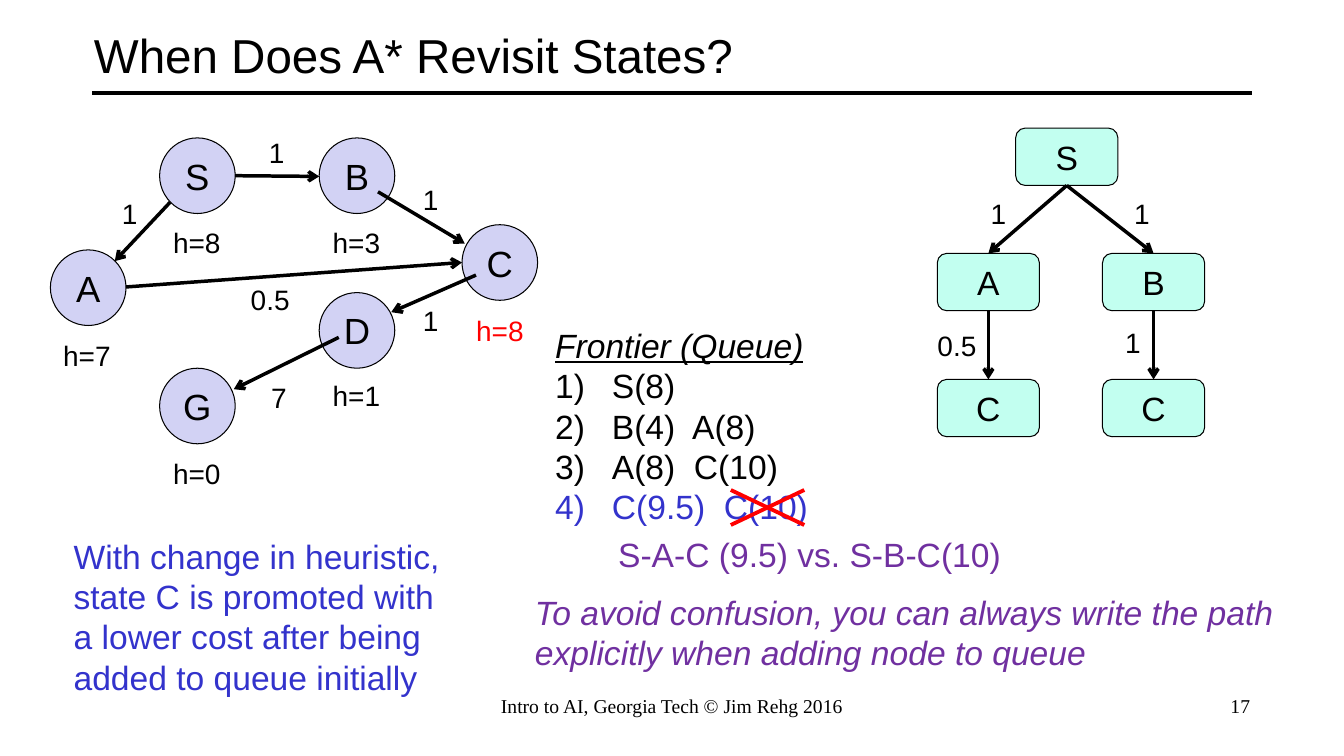
from pptx import Presentation
from pptx.dml.color import RGBColor
from pptx.enum.shapes import MSO_CONNECTOR as CONN, MSO_SHAPE as SHAPE
from pptx.enum.text import MSO_ANCHOR as ANCHOR, PP_ALIGN as ALIGN
from pptx.oxml.ns import qn
from pptx.util import Pt
from lxml.etree import SubElement

COLORS = {"black": "000000", "red": "FF0000", "blue": "3333CC",
          "purple": "7030A0", "lavender": "D2D2F4", "mint": "C2FFF0"}

prs = Presentation()
prs.slide_width, prs.slide_height = Pt(960), Pt(540)
s = prs.slides.add_slide(prs.slide_layouts[6])


def write(text, box=None, sp=None, size=24, color="black", font="Arial", align=ALIGN.LEFT,
          anchor=ANCHOR.TOP, italic=False, underline=False, wrap=False, numbered=False):
    if sp is None:
        sp = s.shapes.add_textbox(*map(Pt, box))
    tf = sp.text_frame
    tf.word_wrap, tf.vertical_anchor = wrap, anchor
    p = tf.add_paragraph() if tf.text else tf.paragraphs[0]
    p.text, p.alignment = text, align
    if numbered:
        pPr = p._p.get_or_add_pPr()
        pPr.set("marL", str(Pt(40.5)))
        pPr.set("indent", str(-Pt(40.5)))
        SubElement(pPr, qn("a:buFont")).set("typeface", "+mj-lt")
        SubElement(pPr, qn("a:buAutoNum")).set("type", "arabicParenR")
    for r in p.runs:
        r.font.name, r.font.size = font, Pt(size)
        r.font.italic, r.font.underline = italic, underline
        r.font.color.rgb = RGBColor.from_string(COLORS[color])
    return sp


def connect(x1, y1, x2, y2, color="black", width=2.5, arrow=True):
    c = s.shapes.add_connector(CONN.STRAIGHT, Pt(x1), Pt(y1), Pt(x2), Pt(y2))
    c.line.color.rgb = RGBColor.from_string(COLORS[color])
    c.line.width = Pt(width)
    spPr = c._element.spPr
    if arrow:
        SubElement(spPr.find(qn("a:ln")), qn("a:tailEnd")).set("type", "arrow")
    SubElement(spPr, qn("a:effectLst"))
    return c


connect(66, 66.5, 894, 66.5, width=3, arrow=False)
write("When Does A* Revisit States?", (60, 6, 840, 66), size=34, anchor=ANCHOR.MIDDLE, wrap=True)
write("Intro to AI, Georgia Tech © Jim Rehg 2016", (328, 492, 304, 36),
      size=14, font="Times New Roman", align=ALIGN.CENTER, wrap=True)
write("17", (688, 492, 212, 36), size=14, font="Times New Roman", align=ALIGN.RIGHT, wrap=True)

graph_nodes = [("S", 114, 98.5), ("B", 228, 98.5), ("C", 330, 160.5),
               ("A", 36, 178.5), ("D", 228, 209), ("G", 114, 263)]
tree_nodes = [("S", 725.5, 91.5), ("A", 669.5, 181), ("B", 787.5, 181),
              ("C", 669.5, 271), ("C", 787.5, 271)]
tree = []
for nodes, kind, w, h, fill, size in [(graph_nodes, SHAPE.OVAL, 54, 54, "lavender", 26),
                                      (tree_nodes, SHAPE.ROUNDED_RECTANGLE, 73, 41, "mint", 24)]:
    for name, x, y in nodes:
        sp = s.shapes.add_shape(kind, Pt(x), Pt(y), Pt(w), Pt(h))
        sp.shadow.inherit = False
        sp.fill.solid()
        sp.fill.fore_color.rgb = RGBColor.from_string(COLORS[fill])
        sp.line.color.rgb = RGBColor.from_string(COLORS["black"])
        sp.line.width = Pt(0.75)
        write(name, sp=sp, size=size, align=ALIGN.CENTER, anchor=ANCHOR.MIDDLE)
        if kind == SHAPE.ROUNDED_RECTANGLE:
            tree.append(sp)

for edge in [(121.5, 144.5, 82, 186.5), (168, 125.5, 228, 126), (270, 137, 332, 174),
             (340, 196.5, 279.5, 223), (242, 241, 167, 278), (90, 205, 330, 187.5)]:
    connect(*edge)

for parent, child in [(0, 1), (0, 2), (1, 3), (2, 4)]:
    c = connect(0, 0, 0, 0)
    c.begin_connect(tree[parent], 2)
    c.end_connect(tree[child], 0)

for text, x, y in [("1", 80, 137), ("1", 185, 93.5), ("1", 295, 126.5), ("1", 295, 213),
                   ("7", 186.5, 268.5), ("0.5", 172, 198), ("1", 700.5, 137), ("1", 803, 137),
                   ("0.5", 662.5, 231), ("1", 796.5, 229)]:
    write(text, (x, y, 42.5 if text == "0.5" else 26, 31.5), size=20)

for text, x, y, color in [("h=7", 38, 238.5, "black"), ("h=8", 116.5, 157.5, "black"),
                          ("h=3", 230.5, 157.5, "black"), ("h=8", 333, 220.5, "red"),
                          ("h=1", 230.5, 267, "black"), ("h=0", 116.5, 322.5, "black")]:
    write(text, (x, y, 49, 31.5), size=20, color=color)

frontier = write("Frontier (Queue)", (389.5, 228.5, 197, 152.5), italic=True, underline=True)
for text, color in [("S(8)", "black"), ("B(4)  A(8)", "black"),
                    ("A(8)  C(10)", "black"), ("C(9.5)  C(10)", "blue")]:
    write(text, sp=frontier, color=color, numbered=True)

write("With change in heuristic,\vstate C is promoted with\va lower cost after being\v"
      "added to queue initially", (45.5, 379, 278.5, 124), color="blue")
write("S-A-C (9.5) vs. S-B-C(10)", (434.5, 378, 291, 36), color="purple")
write("To avoid confusion, you can always write the path\v"
      "explicitly when adding node to queue", (375, 419, 547, 65.5), color="purple", italic=True)

for y1, y2 in [(350, 375), (375, 350)]:
    connect(522, y1, 574.5, y2, color="red", width=2.75, arrow=False)

prs.save("out.pptx")
